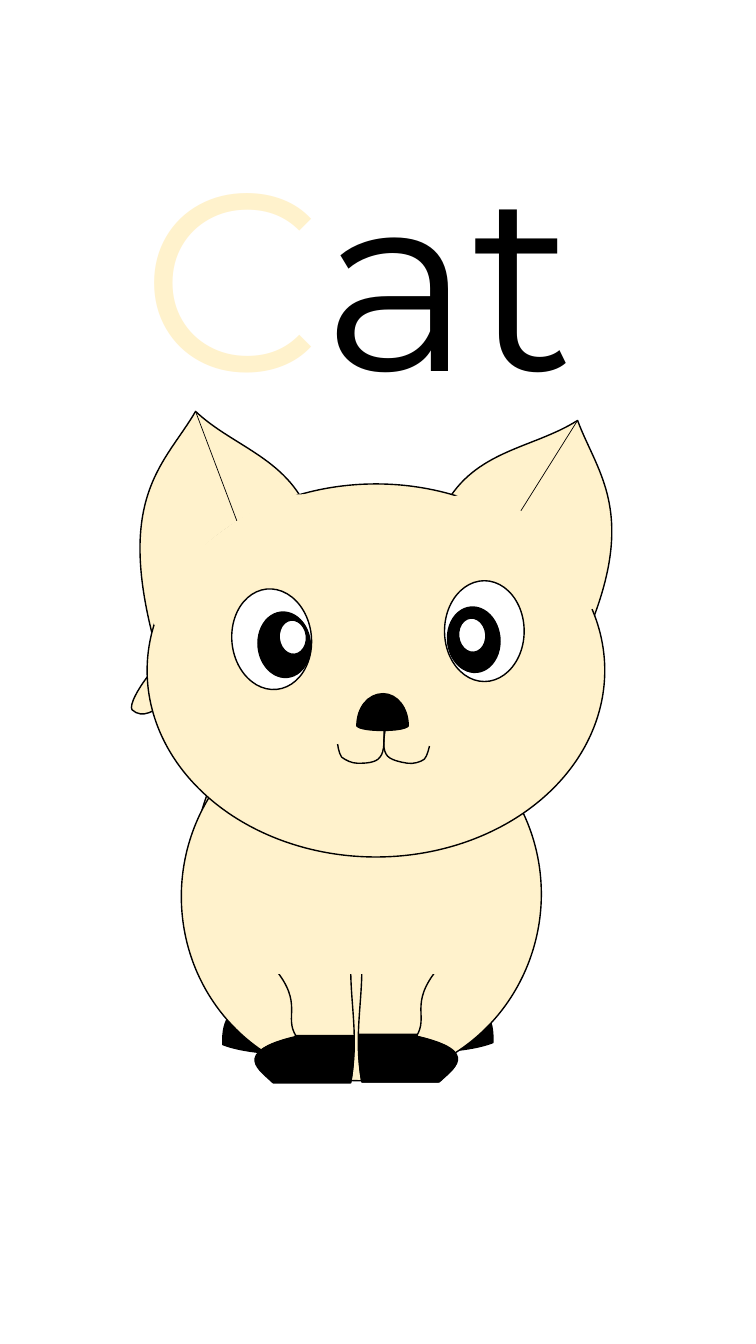
from dataclasses import dataclass, replace
from math import cos, radians, sin

from lxml import etree
from pptx import Presentation
from pptx.dml.color import RGBColor
from pptx.enum.shapes import MSO_CONNECTOR, MSO_SHAPE
from pptx.oxml.ns import qn
from pptx.util import Pt

PX = 9144  # EMU in one px, 100 px to the inch
WIDTH, HEIGHT = 750, 1333
STEPS = 16  # samples of one curve, to find its bounds
OVAL, RECT = MSO_SHAPE.OVAL, MSO_SHAPE.RECTANGLE
STRAIGHT = MSO_CONNECTOR.STRAIGHT
CREAM = RGBColor(0xFF, 0xF2, 0xCC)
BLACK = RGBColor(0, 0, 0)
WHITE = RGBColor(0xFF, 0xFF, 0xFF)
TITLE = {"name": "Montserrat", "size": Pt(180)}


@dataclass(frozen=True)
class Solid:
    left: int
    top: int
    width: int
    height: int
    turn: float = 0
    fill: RGBColor = CREAM
    edge: bool = True
    kind: int = OVAL


@dataclass(frozen=True)
class Path:
    """Steps of two numbers are lines, steps of six are Bezier curves."""
    start: tuple
    steps: tuple
    fill: RGBColor | None = CREAM
    closed: bool = True
    turn: float = 0


@dataclass(frozen=True)
class Crease:
    start: tuple
    end: tuple


def mirror(path: Path, total: int, drop: int = 0) -> Path:
    """Reflect a path so that old x + new x = total, then move it down."""
    def flip(nums: tuple) -> tuple:
        return tuple(n + drop if i % 2 else total - n for i, n in enumerate(nums))
    return replace(path, start=flip(path.start), turn=-path.turn % 360,
                   steps=tuple(flip(step) for step in path.steps))


def spin(point: tuple, turn: float) -> tuple:
    """Turn a point clockwise about the origin."""
    x, y, a = *point, radians(turn)
    return x * cos(a) - y * sin(a), x * sin(a) + y * cos(a)


def sample(knots: list) -> list:
    """Points along one line or curve."""
    if len(knots) == 2:
        return knots[1:]
    pts = []
    for i in range(1, STEPS + 1):
        t = i / STEPS
        part = ((1 - t) ** 3, 3 * t * (1 - t) ** 2, 3 * t * t * (1 - t), t ** 3)
        pts.append(tuple(sum(w * k[axis] for w, k in zip(part, knots))
                         for axis in (0, 1)))
    return pts


def paint(shape, fill: RGBColor | None, edge: bool) -> None:
    shape.shadow.inherit = False
    if fill is None:
        shape.fill.background()
    else:
        shape.fill.solid()
        shape.fill.fore_color.rgb = fill
    if edge:
        shape.line.color.rgb = BLACK
        shape.line.width = Pt(1)
    else:
        shape.line.fill.background()


def draw_solid(shapes, part: Solid) -> None:
    box = (n * PX for n in (part.left, part.top, part.width, part.height))
    shape = shapes.add_shape(part.kind, *box)
    shape.rotation = part.turn
    paint(shape, part.fill, part.edge)


def draw_path(shapes, part: Path) -> None:
    # Knots of each step in the frame before its turn
    moves = [[spin((x * PX, y * PX), -part.turn) for x, y in zip(nums[::2], nums[1::2])]
             for nums in (part.start, *part.steps)]
    bounds = [p for a, b in zip(moves, moves[1:]) for p in sample([a[-1], *b])]
    pen = shapes.build_freeform(*moves[0][0])
    pen.add_line_segments(bounds, close=part.closed)
    shape = pen.convert_to_shape()

    # Real curves in place of the samples
    track = next(shape._element.iter(qn("a:path")))
    for old in list(track):
        track.remove(old)
    for i, knots in enumerate(moves):
        tag = "a:moveTo" if i == 0 else "a:lnTo" if len(knots) == 1 else "a:cubicBezTo"
        node = etree.SubElement(track, qn(tag))
        for x, y in knots:
            etree.SubElement(node, qn("a:pt"), x=str(round(x - shape.left)),
                             y=str(round(y - shape.top)))
    if part.closed:
        etree.SubElement(track, qn("a:close"))

    mid = shape.left + shape.width / 2, shape.top + shape.height / 2
    x, y = spin(mid, part.turn)
    shape.left += round(x - mid[0])
    shape.top += round(y - mid[1])
    shape.rotation = part.turn
    paint(shape, part.fill, True)


def draw_crease(shapes, part: Crease) -> None:
    line = shapes.add_connector(STRAIGHT, *(n * PX for n in part.start + part.end))
    line.line.color.rgb = BLACK
    line.line.width = Pt(0.5)
    etree.SubElement(line._element.spPr, qn("a:effectLst"))


def draw_title(shapes) -> None:
    box = shapes.add_textbox(131 * PX, 114 * PX, 1203 * PX, 313 * PX)
    box.text_frame.word_wrap = True
    para = box.text_frame.paragraphs[0]
    for text, color in (("C", CREAM), ("at", BLACK)):
        run = para.add_run()
        run.text = text
        for key, value in TITLE.items():
            setattr(run.font, key, value)
        run.font.color.rgb = color


# Legs and feet of the right side; the left side mirrors them
HAUNCH = Path((331, 953), (
    (332, 885, 393, 869, 409, 877), (425, 885, 484, 961, 427, 1002),
    (429, 1015, 491, 967, 488, 1032), (471, 1039, 419, 1046, 393, 1033),
    (367, 1020, 330, 1021, 331, 953)))
HEEL = Path((466, 1000), (
    (455, 1000, 442, 1005, 435, 1007), (388, 1032), (395, 1035),
    (421, 1049, 472, 1041, 489, 1034), (490, 1006, 479, 999, 466, 1000)),
    BLACK, turn=240.1)
LEG = Path((359, 960), (
    (435, 960), (405, 996, 426, 1008, 413, 1028),
    (478, 1043, 447, 1062, 435, 1073), (359, 1073),
    (351, 1030, 359, 998, 359, 960)))
PAW = Path((414, 1026), (
    (356, 1026), (356, 1028), (356, 1042, 356, 1056, 359, 1073), (436, 1073),
    (448, 1061, 479, 1043, 414, 1028)), BLACK)

TAIL = Path((131, 704), (
    (125, 694, 169, 635, 193, 633), (217, 631, 249, 625, 275, 695),
    (214, 969, 342, 909, 355, 964), (324, 973, 267, 985, 205, 896),
    (171, 805, 231, 768, 233, 690), (222, 672, 216, 666, 199, 668),
    (182, 671, 152, 723, 131, 704)))
EARS = (
    Path((151, 629), ((116, 490, 165, 458, 194, 408),
                      (232, 444, 289, 455, 309, 516)), turn=339),
    Path((577, 641), ((636, 511, 593, 471, 573, 417),
                      (529, 445, 471, 446, 441, 502)), turn=30.9),
)
NOSE = Path((405, 720), (
    (405, 702, 394, 688, 380, 688), (365, 688, 354, 702, 354, 720),
    (358, 726, 401, 726, 405, 720)), BLACK)
MOUTH = (
    Path((383, 719), ((381, 730, 379, 741, 383, 748), (386, 754, 398, 756, 404, 757),
                      (410, 758, 417, 756, 421, 753), (424, 750, 426, 740, 426, 740)),
         None, False, 7.3),
    Path((381, 722), ((381, 733, 382, 745, 377, 751), (373, 757, 361, 757, 355, 757),
                      (349, 757, 343, 754, 339, 751), (336, 747, 335, 738, 335, 738)),
         None, False),
)
TILT = 354.3
# The cat from back to front: legs, body, ears, head, eyes, pupils, glints, blends, paws
CAT = (
    HAUNCH, HEEL, mirror(HAUNCH, 711, 4), mirror(HEEL, 710, 2), TAIL,
    Solid(180, 704, 357, 368, 6.4), *EARS,
    Crease((194, 408), (251, 559)), Crease((573, 417), (472, 578)),
    Solid(146, 480, 454, 370),
    Solid(441, 576, 79, 100, 0, WHITE), Solid(230, 584, 79, 100, TILT, WHITE),
    mirror(LEG, 707),
    Solid(256, 607, 52, 65, TILT, BLACK), Solid(444, 602, 52, 65, TILT, BLACK),
    Solid(455, 613, 27, 34, TILT, WHITE), Solid(277, 615, 27, 34, TILT, WHITE),
    NOSE, *MOUTH,
    Solid(132, 525, 203, 65, 322.2, edge=False),
    Solid(430, 509, 165, 65, 211.3, edge=False),
    Solid(438, 537, 165, 43, 211.3, edge=False),
    LEG, Solid(258, 860, 186, 106, edge=False, kind=RECT),
    mirror(PAW, 707, 1), PAW,
)
DRAW = {Solid: draw_solid, Path: draw_path, Crease: draw_crease}


def main() -> None:
    deck = Presentation()
    deck.slide_width, deck.slide_height = WIDTH * PX, HEIGHT * PX
    slide = deck.slides.add_slide(deck.slide_layouts[6])
    draw_title(slide.shapes)
    group = slide.shapes.add_group_shape()
    for part in CAT:
        DRAW[type(part)](group.shapes, part)
    deck.save("out.pptx")


if __name__ == "__main__":
    main()
